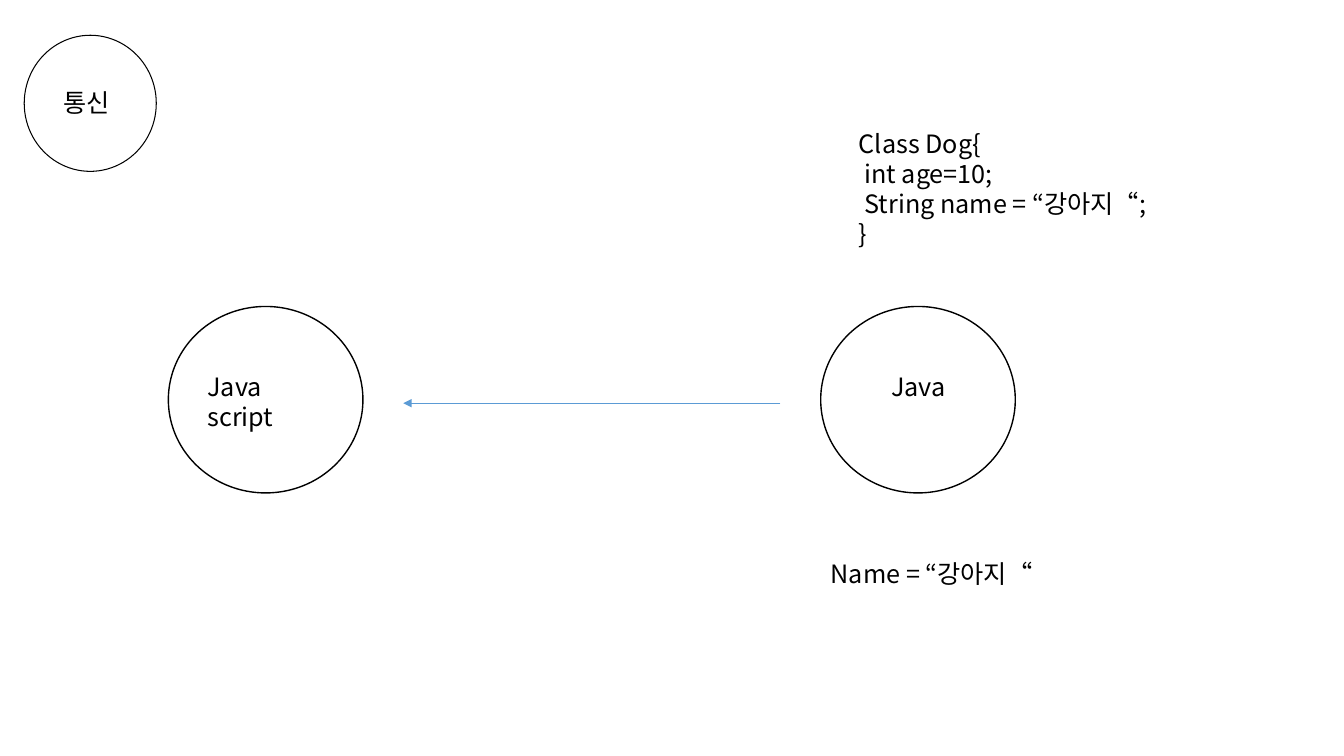
"""Build a slide showing Java sending a Dog object's name to JavaScript."""
from dataclasses import dataclass

import lxml.etree
import pptx
import pptx.dml.color
import pptx.enum.shapes
import pptx.enum.text
import pptx.oxml.ns
import pptx.util
from pptx.util import Inches


@dataclass(frozen=True)
class Theme:
    font: str = "Noto Sans CJK KR"
    size: int = 18
    ink: str = "000000"
    paper: str = "FFFFFF"
    arrow: str = "5B9BD5"


theme = Theme()
qn = pptx.oxml.ns.qn
rgb = pptx.dml.color.RGBColor.from_string

prs = pptx.Presentation()
prs.slide_width, prs.slide_height = Inches(13.33), Inches(7.5)
s = prs.slides.add_slide(prs.slide_layouts[6])

circles = [
    (0.24, 0.35, 1.31, 1.35, 0.75, False),
    (1.67, 3.04, 1.93, 1.85, 1, True),
    (8.14, 3.04, 1.93, 1.85, 1, True),
]
for x, y, w, h, weight, filled in circles:
    sp = s.shapes.add_shape(
        pptx.enum.shapes.MSO_SHAPE.OVAL, Inches(x), Inches(y), Inches(w), Inches(h)
    )
    sp.shadow.inherit = False
    if filled:
        sp.fill.solid()
        sp.fill.fore_color.rgb = rgb(theme.paper)
    else:
        sp.fill.background()
    sp.line.color.rgb = rgb(theme.ink)
    sp.line.width = pptx.util.Pt(weight)

arrow = s.shapes.add_connector(
    pptx.enum.shapes.MSO_CONNECTOR.STRAIGHT,
    Inches(7.74), Inches(4), Inches(4), Inches(4),
)
arrow.line.color.rgb = rgb(theme.arrow)
arrow.line.width = pptx.util.Pt(0.5)
lxml.etree.SubElement(arrow.line._get_or_add_ln(), qn("a:tailEnd"), type="triangle")
lxml.etree.SubElement(arrow._element.spPr, qn("a:effectLst"))

labels = [
    (0.53, 0.82, 0.73, 0.4, "통신"),
    (8.42, 1.22, 3.72, 1.31, "Class Dog{\n int age=10;\n String name = “강아지“;\n}"),
    (8.74, 3.63, 0.74, 0.4, "Java"),
    (1.96, 3.63, 1.44, 0.4, "Java script"),
    (8.14, 5.49, 3.28, 0.4, "Name = “강아지“"),
]
for x, y, w, h, text in labels:
    tf = s.shapes.add_textbox(Inches(x), Inches(y), Inches(w), Inches(h)).text_frame
    tf.word_wrap = True
    tf.auto_size = pptx.enum.text.MSO_AUTO_SIZE.SHAPE_TO_FIT_TEXT
    tf.text = text
    for p in tf.paragraphs:
        for r in p.runs:
            r.font.size = pptx.util.Pt(theme.size)
            r.font.name = theme.font
            r.font.color.rgb = rgb(theme.ink)
            lxml.etree.SubElement(r.font._element, qn("a:ea"), typeface=theme.font)

prs.save("out.pptx")
